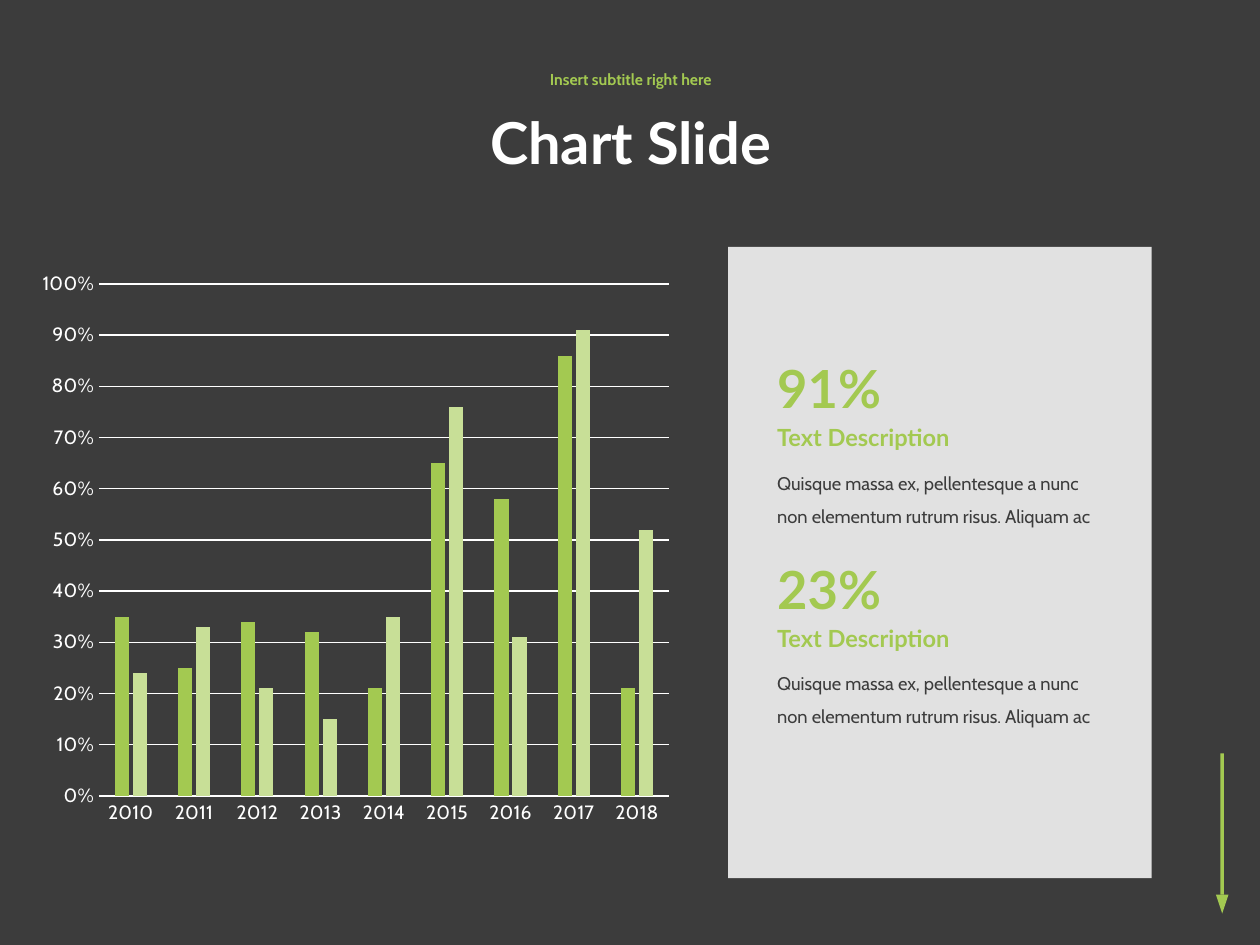
import pptx
import pptx.chart.data
import pptx.dml.color
import pptx.enum.chart
import pptx.enum.shapes
import pptx.enum.text
import pptx.oxml
import pptx.oxml.ns
import pptx.util
from lxml import etree

Inches = pptx.util.Inches
Pt = pptx.util.Pt
RGBColor = pptx.dml.color.RGBColor
SHAPES = pptx.enum.shapes.MSO_SHAPE
ANCHOR = pptx.enum.text.MSO_ANCHOR
ALIGN = pptx.enum.text.PP_ALIGN
qn = pptx.oxml.ns.qn

CHARCOAL = RGBColor(0x3C, 0x3C, 0x3C)
GREEN = RGBColor(0xA3, 0xC9, 0x51)
PALE_GREEN = RGBColor(0xC8, 0xDF, 0x97)
WHITE = RGBColor(0xFF, 0xFF, 0xFF)

TITLE = {"name": "Lato", "size": Pt(33), "bold": True}
SUBTITLE = {"name": "Cabin", "size": Pt(9), "bold": True}
FIGURE = {"name": "Lato", "size": Pt(30), "bold": True}
HEADING = {"name": "Lato", "size": Pt(13.5), "bold": True}
BODY = {"name": "Cabin", "size": Pt(10.5), "bold": False}
AXIS = {"name": "Cabin", "size": Pt(11), "bold": False}

YEARS = [str(year) for year in range(2010, 2019)]
SERIES = {
    "Series 1": (GREEN, (0.35, 0.25, 0.34, 0.32, 0.21, 0.65, 0.58, 0.86, 0.21)),
    "Series 2": (PALE_GREEN, (0.24, 0.33, 0.21, 0.15, 0.35, 0.76, 0.31, 0.91, 0.52)),
}
DESCRIPTION = ("Quisque massa ex, pellentesque a nunc "
               "non elementum rutrum risus. Aliquam ac")
STATISTICS = ("91%", "23%")


def set_font(font, style, color):
    for attribute, value in style.items():
        setattr(font, attribute, value)
    font.color.rgb = color


def write(shape, text, style, color, spacing=1.0, align=ALIGN.LEFT, anchor=ANCHOR.TOP):
    frame = shape.text_frame
    frame.word_wrap = True
    frame.vertical_anchor = anchor
    paragraph = frame.paragraphs[0]
    paragraph.alignment = align
    paragraph.line_spacing = spacing
    run = paragraph.add_run()
    run.text = text
    set_font(run.font, style, color)


def add_text(slide, left, top, width, height, *content, **layout):
    box = slide.shapes.add_textbox(*map(Inches, (left, top, width, height)))
    write(box, *content, **layout)


def add_block(slide, kind, left, top, width, height, color, rotation=0):
    block = slide.shapes.add_shape(kind, *map(Inches, (left, top, width, height)))
    block.shadow.inherit = False
    block.fill.solid()
    block.fill.fore_color.rgb = color
    block.line.fill.background()
    block.rotation = rotation
    return block


def add_down_arrow(slide, left, top, width, height):
    head, shaft = 0.15, 0.03
    add_block(slide, SHAPES.RECTANGLE, left + (width - shaft) / 2, top,
              shaft, height - head, GREEN)
    add_block(slide, SHAPES.ISOSCELES_TRIANGLE, left, top + height - head,
              width, head, GREEN, rotation=180)


def add_heading(slide, left, top, width):
    centred = {"spacing": 0.9, "align": ALIGN.CENTER, "anchor": ANCHOR.MIDDLE}
    title = slide.shapes.title
    title.left, title.top = Inches(left), Inches(top + 0.19)
    title.width, title.height = Inches(width), Inches(1.03)
    write(title, "Chart Slide", TITLE, WHITE, **centred)
    add_text(slide, left, top, width, 0.38,
             "Insert subtitle right here", SUBTITLE, GREEN, **centred)


def set_plot_area(chart, **fractions):
    """Fix the inner plot area as fractions of the chart."""
    plot_area = chart._chartSpace.chart.plotArea
    for old in plot_area.findall(qn("c:layout")):
        plot_area.remove(old)
    layout = etree.Element(qn("c:layout"))
    manual = etree.SubElement(layout, qn("c:manualLayout"))
    settings = {"layoutTarget": "inner", "xMode": "edge", "yMode": "edge", **fractions}
    for tag, value in settings.items():
        etree.SubElement(manual, qn("c:" + tag)).set("val", str(value))
    plot_area.insert(0, layout)


def add_year_chart(slide, left, top, width, height):
    data = pptx.chart.data.CategoryChartData(number_format="0%")
    data.categories = YEARS
    for name, (_, values) in SERIES.items():
        data.add_series(name, values)
    chart = slide.shapes.add_chart(
        pptx.enum.chart.XL_CHART_TYPE.COLUMN_CLUSTERED,
        *map(Inches, (left, top, width, height)), data).chart
    chart.has_title = chart.has_legend = False
    set_font(chart.font, AXIS, WHITE)
    set_plot_area(chart, x=0.09, y=0.02, w=0.89, h=0.88)

    plot = chart.plots[0]
    plot.gap_width, plot.overlap, plot.vary_by_categories = 219, -27, False
    for series in plot.series:
        series.format.fill.solid()
        series.format.fill.fore_color.rgb = SERIES[series.name][0]

    years, shares = chart.category_axis, chart.value_axis
    for axis in (years, shares):
        axis.major_tick_mark = pptx.enum.chart.XL_TICK_MARK.NONE
        set_font(axis.tick_labels.font, AXIS, WHITE)
    shares.minimum_scale, shares.maximum_scale, shares.major_unit = 0, 1, 0.1
    shares.tick_labels.number_format = "0%"
    shares.tick_labels.number_format_is_linked = False
    shares.format.line.fill.background()
    for line in (years.format.line, shares.major_gridlines.format.line):
        line.color.rgb = WHITE
        line.width = Pt(0.75)


def add_statistic(slide, left, top, figure):
    add_text(slide, left, top, 1.61, 0.61, figure, FIGURE, GREEN)
    add_text(slide, left, top + 0.53, 2.19, 0.33, "Text Description", HEADING, GREEN)
    add_text(slide, left, top + 0.83, 2.79, 0.6, DESCRIPTION, BODY, CHARCOAL, spacing=1.5)


def add_statistics_panel(slide, left, top, width, height):
    panel = add_block(slide, SHAPES.RECTANGLE, left, top, width, height, WHITE)
    color = panel.fill._xPr.find(qn("a:solidFill"))[0]
    etree.SubElement(color, qn("a:alpha")).set("val", "85000")
    for index, figure in enumerate(STATISTICS):
        add_statistic(slide, left + 0.29, top + 0.82 + 1.59 * index, figure)


def main():
    deck = pptx.Presentation()
    deck.slide_width, deck.slide_height = Inches(10), Inches(7.5)
    slide = deck.slides.add_slide(deck.slide_layouts[5])
    slide.background.fill.solid()
    slide.background.fill.fore_color.rgb = CHARCOAL
    add_down_arrow(slide, 9.65, 5.98, 0.1, 1.27)
    add_heading(slide, 2.19, 0.45, 5.63)
    add_statistics_panel(slide, 5.78, 1.96, 3.36, 5.01)
    add_year_chart(slide, 0.33, 2.16, 5.08, 4.62)
    deck.save("out.pptx")


if __name__ == "__main__":
    main()
